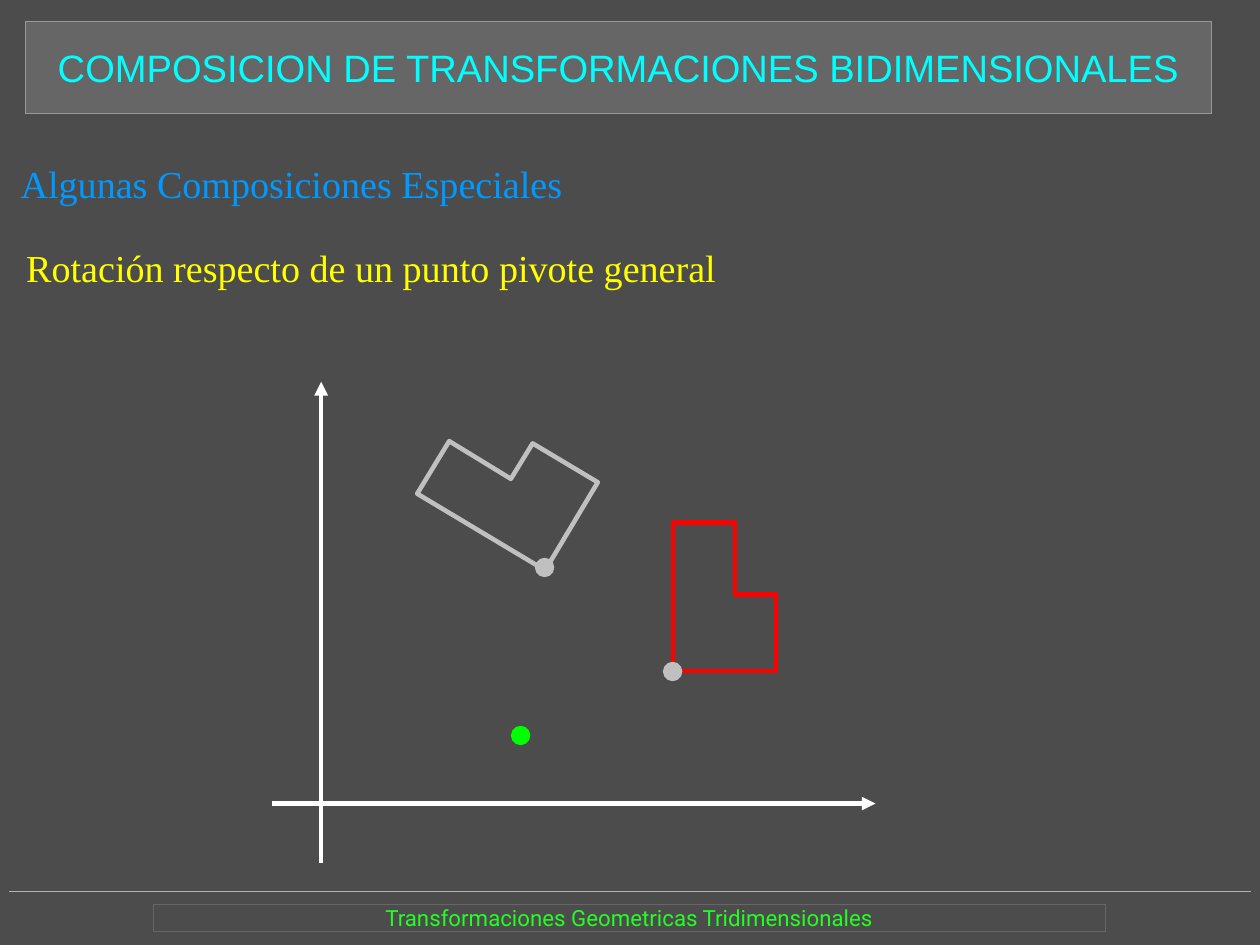
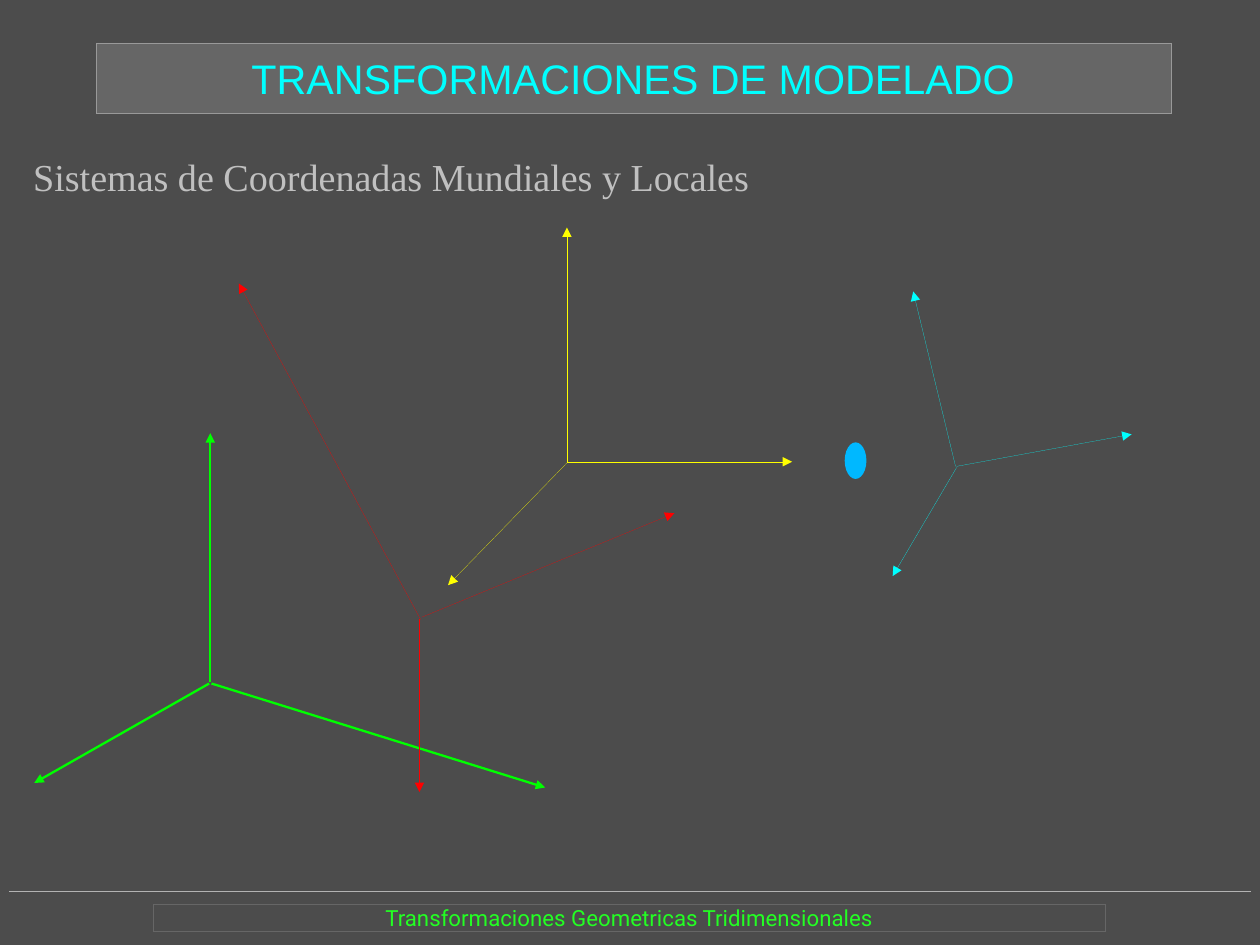
import lxml.etree
import pptx
import pptx.dml.color
import pptx.enum.shapes
import pptx.enum.text
import pptx.oxml.ns
import pptx.shapes.connector
import pptx.util

Inches = pptx.util.Inches
Pt = pptx.util.Pt
qn = pptx.oxml.ns.qn
SHAPE = pptx.enum.shapes.MSO_SHAPE
STRAIGHT = pptx.enum.shapes.MSO_CONNECTOR.STRAIGHT
CENTER = pptx.enum.text.PP_ALIGN.CENTER
LEFT = pptx.enum.text.PP_ALIGN.LEFT
MIDDLE = pptx.enum.text.MSO_ANCHOR.MIDDLE
TOP = pptx.enum.text.MSO_ANCHOR.TOP
RGB = pptx.dml.color.RGBColor.from_string

BACKGROUND = "4C4C4C"
BAND, BAND_EDGE = "666666", "999999"
RULE = "B3B3B3"
FOOTER = "23FF23"
CYAN, GREEN, YELLOW, RED = "00FFFF", "00FF00", "FFFF00", "FF0000"
SILVER, WHITE = "C0C0C0", "FFFFFF"
HAIRLINE, THIN, THICK = 0, 1.45, 2.89


def paint(shape, fill=None, line=None, width=HAIRLINE):
    if not isinstance(shape, pptx.shapes.connector.Connector):
        if fill:
            shape.fill.solid()
            shape.fill.fore_color.rgb = RGB(fill)
        else:
            shape.fill.background()
    if line:
        shape.line.color.rgb = RGB(line)
        shape.line.width = Pt(width)
    else:
        shape.line.fill.background()
    lxml.etree.SubElement(shape._element.spPr, qn("a:effectLst"))
    shape._element.remove(shape._element.find(qn("p:style")))


def write(shape, text, font, size, color, alignment=CENTER, anchor=MIDDLE):
    frame = shape.text_frame
    frame.word_wrap = True
    frame.vertical_anchor = anchor
    frame.margin_left = frame.margin_right = frame.margin_top = frame.margin_bottom = 0
    paragraph = frame.paragraphs[0]
    paragraph.text = text
    paragraph.alignment = alignment
    paragraph.font.name = font
    paragraph.font.size = Pt(size)
    paragraph.font.color.rgb = RGB(color)


slides = [
    {
        "title": ("COMPOSICION DE TRANSFORMACIONES BIDIMENSIONALES", 24, (0.22, 0.19, 10.38, 0.8)),
        "headings": [
            ("Algunas Composiciones Especiales", "0099FF", (0.18, 1.4, 9.41, 0.4)),
            ("Rotación respecto de un punto pivote general", YELLOW, (0.23, 2.14, 6.27, 0.4)),
        ],
        "axes": [
            (WHITE, THICK, [(2.81, 7.55, 2.81, 3.34), (2.38, 7.03, 7.66, 7.03)]),
        ],
        "outlines": [
            (RED, [(5.89, 5.87), (5.89, 4.57), (6.43, 4.57), (6.43, 5.2), (6.79, 5.2), (6.79, 5.87)]),
            (SILVER, [(4.77, 4.99), (3.65, 4.32), (3.93, 3.86), (4.47, 4.19), (4.66, 3.88), (5.23, 4.22)]),
        ],
        "dots": [
            (SILVER, (5.8, 5.79, 0.17, 0.17)),
            (SILVER, (4.68, 4.88, 0.17, 0.17)),
            (GREEN, (4.47, 6.35, 0.17, 0.17)),
        ],
    },
    {
        "title": ("TRANSFORMACIONES DE MODELADO", 26, (0.84, 0.38, 9.41, 0.61)),
        "headings": [
            ("Sistemas de Coordenadas Mundiales y Locales", SILVER, (0.29, 1.34, 9.96, 0.4)),
        ],
        "axes": [
            (GREEN, THIN, [(1.84, 5.97, 1.84, 3.79), (1.85, 5.98, 4.77, 6.89), (1.83, 5.98, 0.3, 6.85)]),
            (YELLOW, HAIRLINE, [(4.96, 4.04, 6.93, 4.04), (4.96, 4.04, 4.96, 1.99), (4.96, 4.05, 3.92, 5.12)]),
            (RED, HAIRLINE, [(3.68, 5.42, 2.09, 2.48), (3.69, 5.4, 5.9, 4.49), (3.67, 5.42, 3.67, 6.93)]),
            (CYAN, HAIRLINE, [(8.37, 4.08, 9.9, 3.8), (8.36, 4.08, 7.99, 2.55), (8.37, 4.09, 7.81, 5.04)]),
        ],
        "outlines": [],
        "dots": [("00B8FF", (7.39, 3.87, 0.19, 0.32))],
    },
]

presentation = pptx.Presentation()
presentation.slide_width = pptx.util.Cm(28)
presentation.slide_height = pptx.util.Cm(21)
master_fill = presentation.slide_master.background.fill
master_fill.solid()
master_fill.fore_color.rgb = RGB(BACKGROUND)

for content in slides:
    slide = presentation.slides.add_slide(presentation.slide_layouts[6])
    shapes = slide.shapes

    rule = shapes.add_connector(STRAIGHT, Inches(0.08), Inches(7.8), Inches(10.94), Inches(7.8))
    paint(rule, line=RULE)
    footer = shapes.add_shape(SHAPE.RECTANGLE, Inches(1.34), Inches(7.91), Inches(8.33), Inches(0.24))
    paint(footer, line=BAND)
    write(footer, "Transformaciones Geometricas Tridimensionales", "Roboto", 14, FOOTER)

    text, size, place = content["title"]
    title = shapes.add_shape(SHAPE.RECTANGLE, *map(Inches, place))
    paint(title, BAND, BAND_EDGE)
    write(title, text, "Arial", size, CYAN)

    for text, color, place in content["headings"]:
        heading = shapes.add_textbox(*map(Inches, place))
        write(heading, text, "Times New Roman", 24, color, LEFT, TOP)

    for color, width, arrows in content["axes"]:
        for ends in arrows:
            arrow = shapes.add_connector(STRAIGHT, *map(Inches, ends))
            paint(arrow, line=color, width=width)
            lxml.etree.SubElement(arrow.line._get_or_add_ln(), qn("a:tailEnd"), type="triangle")

    for color, points in content["outlines"]:
        corners = [(Inches(x), Inches(y)) for x, y in points]
        builder = shapes.build_freeform(*corners[0])
        builder.add_line_segments(corners[1:], close=True)
        paint(builder.convert_to_shape(), line=color, width=THICK)

    for color, place in content["dots"]:
        dot = shapes.add_shape(SHAPE.OVAL, *map(Inches, place))
        paint(dot, color)

presentation.save("out.pptx")
